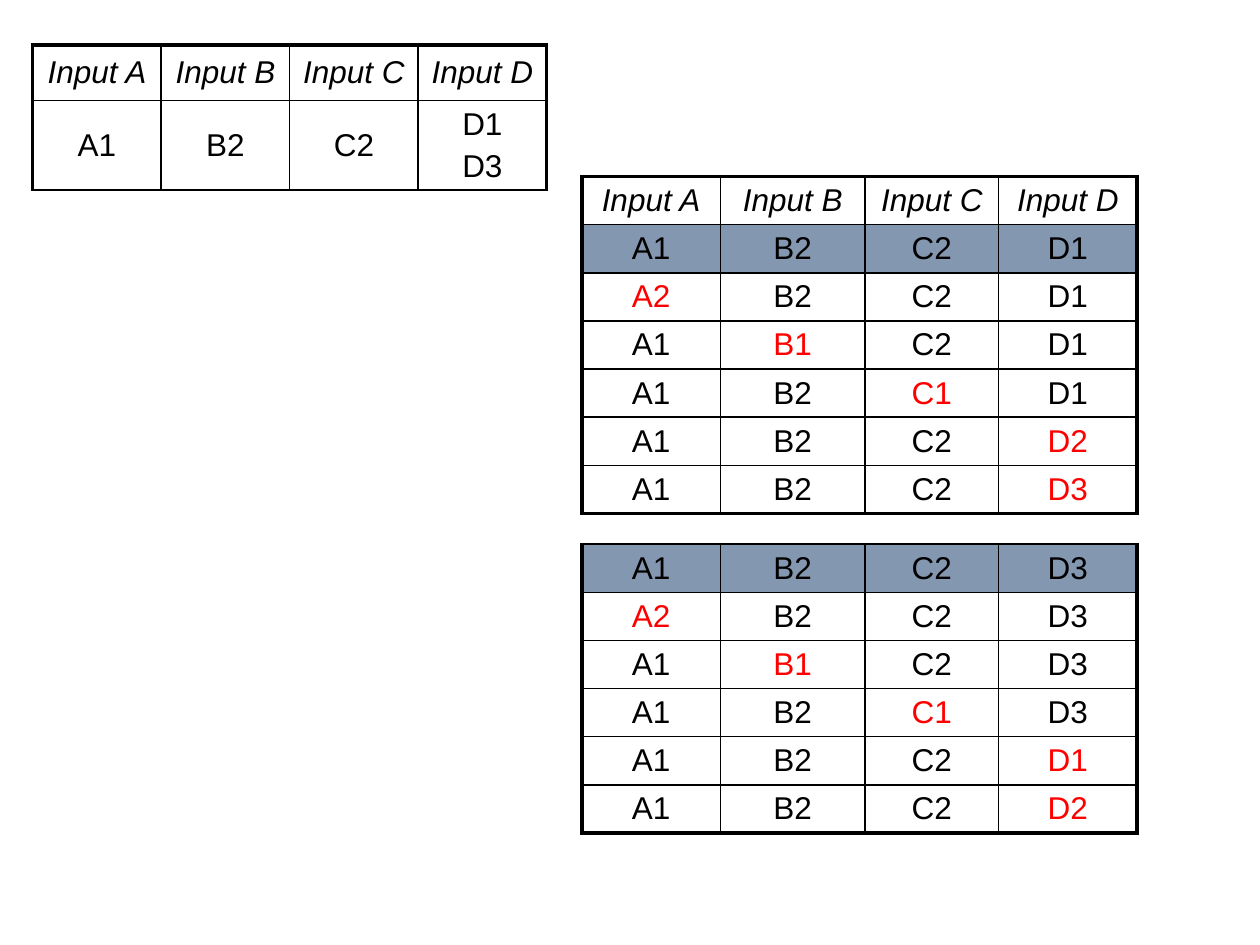
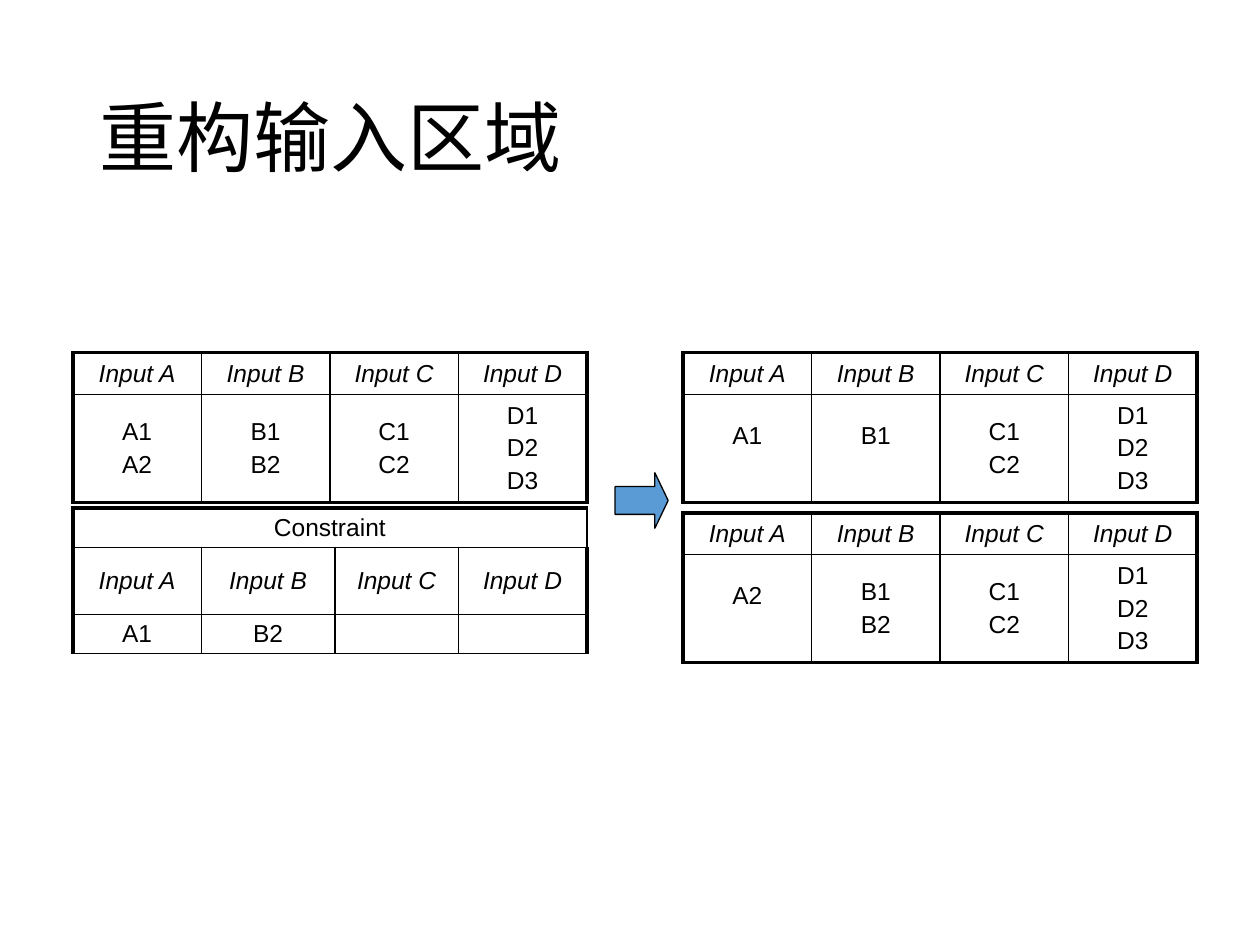
"""Build two slides of input tables: test variants and a restructured input domain."""
from lxml import etree
from pptx import Presentation
from pptx.dml.color import RGBColor
from pptx.enum import shapes, text
from pptx.oxml import ns
from pptx.util import Cm, Pt

BLACK = RGBColor(0x00, 0x00, 0x00)
RED = RGBColor(0xFF, 0x00, 0x00)
SLATE = RGBColor(0x84, 0x97, 0xB0)
BLUE = RGBColor(0x5B, 0x9B, 0xD5)
THICK, THIN = Pt(2.25), Pt(1)
HEADER = ["Input A", "Input B", "Input C", "Input D"]
EQUAL_WIDTHS = [2.59] * 4


def set_border(cell, side, width):
    properties = cell._tc.get_or_add_tcPr()
    line = etree.SubElement(properties, ns.qn(f"a:ln{side}"), w=str(width))
    fill = etree.SubElement(line, ns.qn("a:solidFill"))
    etree.SubElement(fill, ns.qn("a:srgbClr"), val=str(BLACK))


def add_input_table(slide, left, top, widths, heights, rows, size, thin_edge="", base=None):
    frame = slide.shapes.add_table(len(rows), len(widths), Cm(left), Cm(top),
                                   Cm(sum(widths)), Cm(sum(heights)))
    table = frame.table
    table.first_row = table.horz_banding = False
    for column, width in zip(table.columns, widths):
        column.width = Cm(width)
    for row, height in zip(table.rows, heights):
        row.height = Cm(height)
    for row_index, row in enumerate(rows):
        for column_index, value in enumerate(row):
            cell = table.cell(row_index, column_index)
            outer = {"L": column_index == 0, "R": column_index == len(widths) - 1,
                     "T": row_index == 0, "B": row_index == len(rows) - 1}
            for side, is_outer in outer.items():
                set_border(cell, side, THICK if is_outer and side != thin_edge else THIN)
            if row == base:
                cell.fill.solid()
                cell.fill.fore_color.rgb = SLATE
            else:
                cell.fill.background()
            cell.vertical_anchor = text.MSO_ANCHOR.MIDDLE
            cell.margin_left = cell.margin_right = Cm(0.2)
            cell.margin_top = cell.margin_bottom = Cm(0.1 if value else 0)
            if not value:
                continue
            is_header = value in HEADER
            changed = base and not is_header and value != base[column_index]
            for line_index, line in enumerate(value.split("\n")):
                text_frame = cell.text_frame
                paragraph = text_frame.add_paragraph() if line_index else text_frame.paragraphs[0]
                paragraph.alignment = text.PP_ALIGN.CENTER
                if line_index:
                    paragraph.space_before = Pt(0.2 * size)
                run = paragraph.add_run()
                run.text = line
                run.font.name = "Arial"
                run.font.size = Pt(size)
                run.font.italic = is_header
                run.font.color.rgb = RED if changed else BLACK
    return table


presentation = Presentation()
presentation.slide_width, presentation.slide_height = Cm(25.4), Cm(19.05)
blank_layout = presentation.slide_layouts[6]

slide = presentation.slides.add_slide(blank_layout)
for last_input, other_inputs, top, header_rows, thin_edge in [
    ("D3", ["D1", "D2"], 10.97, [], "T"),
    ("D1", ["D2", "D3"], 3.56, [HEADER], ""),
]:
    base = ["A1", "B2", "C2", last_input]
    variants = [base]
    for column_index, value in [(0, "A2"), (1, "B1"), (2, "C1")] + [(3, d) for d in other_inputs]:
        variants.append(base[:column_index] + [value] + base[column_index + 1:])
    rows = header_rows + variants
    add_input_table(slide, 11.73, top, [2.79, 2.92, 2.69, 2.79], [0.97] * len(rows),
                    rows, 18, thin_edge, base)
add_input_table(slide, 0.66, 0.91, EQUAL_WIDTHS, [1.12, 1.8],
                [HEADER, ["A1", "B2", "C2", "D1\nD3"]], 18, "B")

slide = presentation.slides.add_slide(blank_layout)
title = slide.shapes.add_textbox(Cm(1.75), Cm(1.02), Cm(21.9), Cm(3.68))
title.text_frame.word_wrap = True
title.text_frame.vertical_anchor = text.MSO_ANCHOR.MIDDLE
paragraph = title.text_frame.paragraphs[0]
paragraph.line_spacing = 0.9
run = paragraph.add_run()
run.text = "重构输入区域"
run.font.name = "Calibri"
run.font.size = Pt(44)
run.font.color.rgb = BLACK

c_inputs, d_inputs = "C1\nC2", "D1\nD2\nD3"
domain_heights = [0.84, 2.13]
add_input_table(slide, 1.47, 7.11, EQUAL_WIDTHS, domain_heights,
                [HEADER, ["A1\nA2", "B1\nB2", c_inputs, d_inputs]], 14)
constraint_table = add_input_table(
    slide, 1.47, 10.24, [2.59, 2.69, 2.49, 2.59], [0.77, 1.35, 0.77],
    [["Constraint", "", "", ""], HEADER, ["A1", "B2", "", ""]], 14, "B")
constraint_title = constraint_table.cell(0, 0)
constraint_title.merge(constraint_table.cell(0, 3))

arrow = slide.shapes.add_shape(shapes.MSO_SHAPE.RIGHT_ARROW, Cm(12.4), Cm(9.53), Cm(1.07), Cm(1.12))
arrow.adjustments[0], arrow.adjustments[1] = 0.5, 0.25
arrow.shadow.inherit = False
arrow.fill.solid()
arrow.fill.fore_color.rgb = BLUE
arrow.line.color.rgb = BLACK
arrow.line.width = Pt(0.75)

for top, a_inputs, b_inputs in [(7.11, "A1", "B1"), (10.34, "A2", "B1\nB2")]:
    split_table = add_input_table(slide, 13.77, top, EQUAL_WIDTHS, domain_heights,
                                  [HEADER, [a_inputs, b_inputs, c_inputs, d_inputs]], 14)
    for cell in split_table.rows[1].cells:
        if len(cell.text_frame.paragraphs) == 1:
            cell.margin_bottom = Cm(0.6)

presentation.save("out.pptx")
